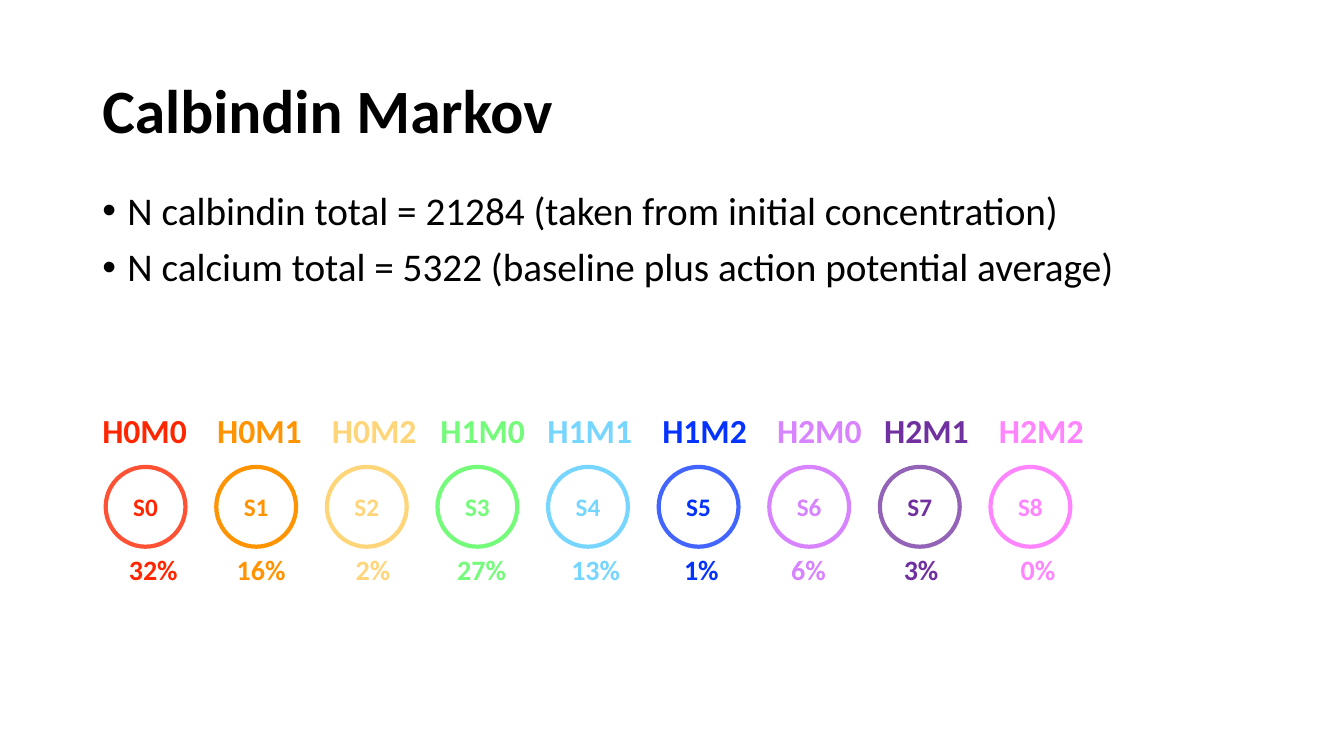
import pptx
import pptx.util
import pptx.dml.color
import pptx.enum.shapes
import pptx.enum.text
import pptx.oxml
import pptx.oxml.ns

Pt = pptx.util.Pt
ALIGN = pptx.enum.text.PP_ALIGN
ANCHOR = pptx.enum.text.MSO_ANCHOR

# label, share, colour, line opacity in percent
STATES = [
    ("H0M0", "32%", "FF2600", 80),
    ("H0M1", "16%", "FF9300", 100),
    ("H0M2", "2%", "FFD579", 100),
    ("H1M0", "27%", "73FB79", 100),
    ("H1M1", "13%", "76D6FF", 100),
    ("H1M2", "1%", "0432FF", 75),
    ("H2M0", "6%", "D883FF", 100),
    ("H2M1", "3%", "7030A0", 74),
    ("H2M2", "0%", "FF85FF", 100),
]
LABEL_TABS = [82, 164, 241.5, 318, 400, 482, 558.5, 640.5]
SHARE_TABS = [77, 162, 234.5, 316, 396.5, 473, 553.5, 637]
FACTS = [
    "N calbindin total = 21284 (taken from initial concentration)",
    "N calcium total = 5322 (baseline plus action potential average)",
]


def color(code):
    return pptx.dml.color.RGBColor.from_string(code)


def element(parent, tag, **attrs):
    """Append a DrawingML child with the given attributes."""
    child = pptx.oxml.ns.qn("a:" + tag)
    node = parent.makeelement(child, {k: str(v) for k, v in attrs.items()})
    parent.append(node)
    return node


def add_run(para, text, size, code="000000", bold=True):
    run = para.add_run()
    run.text = text
    run.font.name = "Calibri"
    run.font.size = Pt(size)
    run.font.bold = bold
    run.font.color.rgb = color(code)


def add_frame(slide, box, anchor=ANCHOR.TOP):
    shape = slide.shapes.add_textbox(*map(Pt, box))
    frame = shape.text_frame
    frame.word_wrap = True
    frame.vertical_anchor = anchor
    return frame


def add_title(slide, box, text):
    para = add_frame(slide, box, ANCHOR.MIDDLE).paragraphs[0]
    para.line_spacing = 0.9
    add_run(para, text, 44)


def add_facts(slide, box):
    frame = add_frame(slide, box)
    for i, fact in enumerate(FACTS):
        para = frame.add_paragraph() if i else frame.paragraphs[0]
        para.line_spacing = 0.9
        para.space_before = Pt(10)
        add_run(para, fact, 28, bold=False)
        props = para._p.get_or_add_pPr()
        props.set("marL", str(Pt(18)))
        props.set("indent", str(-Pt(18)))
        element(props, "buFont", typeface="Arial")
        element(props, "buChar", char="•")


def add_row(slide, box, words, size, tabs):
    """Place one coloured word per state on a line with tab stops."""
    para = add_frame(slide, box).paragraphs[0]
    stops = element(para._p.get_or_add_pPr(), "tabLst")
    for tab in tabs:
        element(stops, "tab", pos=Pt(tab), algn="l")
    for i, (word, state) in enumerate(zip(words, STATES)):
        add_run(para, "\t" + word if i else word, size, state[2])


def add_circle(slide, box, text, code, alpha):
    oval = pptx.enum.shapes.MSO_SHAPE.OVAL
    shape = slide.shapes.add_shape(oval, *map(Pt, box))
    shape.shadow.inherit = False
    shape.fill.solid()
    shape.fill.fore_color.rgb = color("FFFFFF")
    shape.line.width = Pt(3)
    shape.line.color.rgb = color(code)
    if alpha < 100:
        tint = shape.line._ln.find(".//" + pptx.oxml.ns.qn("a:srgbClr"))
        element(tint, "alpha", val=alpha * 1000)
    frame = shape.text_frame
    frame.vertical_anchor = ANCHOR.MIDDLE
    para = frame.paragraphs[0]
    para.alignment = ALIGN.CENTER
    add_run(para, text, 18, code)


def add_chain(slide, box):
    """Draw the states as circles between their labels and shares."""
    left, top, width, height = box
    labels, shares, codes, alphas = zip(*STATES)
    add_row(slide, (left, top, width, 36), labels, 24, LABEL_TABS)
    size, pitch = 57, 79
    for i, (code, alpha) in enumerate(zip(codes, alphas)):
        place = (left + 9.5 + i * pitch, top + 44, size, size)
        add_circle(slide, place, f"S{i}", code, alpha)
    place = (left + 19, top + height - 31.5, 684, 31.5)
    add_row(slide, place, shares, 20, SHARE_TABS)


def main():
    deck = pptx.Presentation()
    deck.slide_width, deck.slide_height = Pt(960), Pt(540)
    slide = deck.slides.add_slide(deck.slide_layouts[6])
    add_title(slide, (66, 28.75, 828, 104.4), "Calbindin Markov")
    add_facts(slide, (66, 133.2, 828, 353.5))
    add_chain(slide, (66, 289.5, 726, 133))
    deck.save("out.pptx")


if __name__ == "__main__":
    main()
